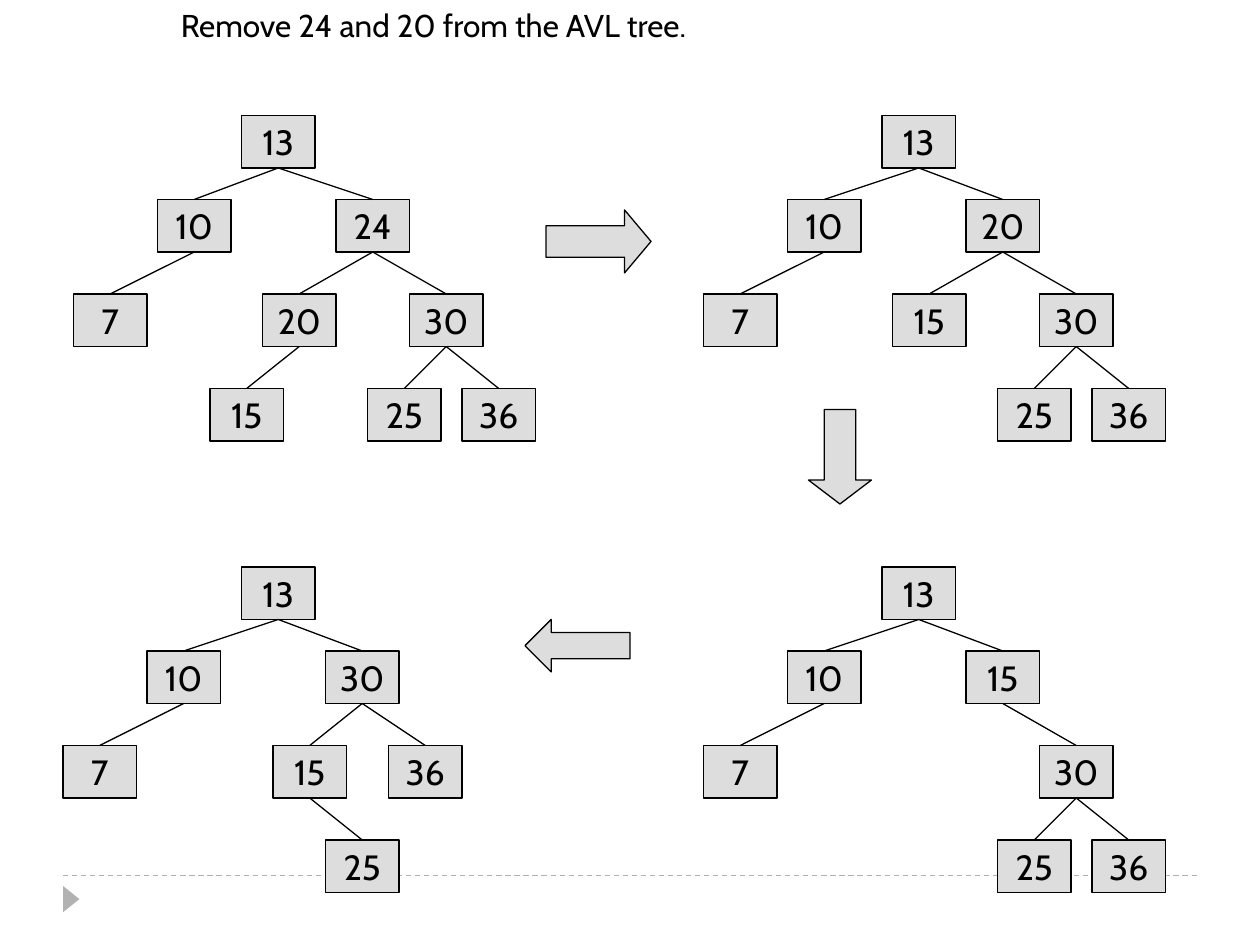
from lxml import etree
from pptx import Presentation
from pptx import util as u
from pptx.dml.color import RGBColor
from pptx.enum import dml, shapes, text
from pptx.oxml.ns import qn

HEADING = "Remove 24 and 20 from the AVL tree."

# Each node: value, level, left grid column, parent value
TREES = [
    {"top": 11, "nodes": [
        (13, 0, 23, None), (10, 1, 15, 13), (24, 1, 32, 13),
        (7, 2, 7, 10), (20, 2, 25, 24), (30, 2, 39, 24),
        (15, 3, 20, 20), (25, 3, 35, 30), (36, 3, 44, 30)]},
    {"top": 11, "nodes": [
        (13, 0, 84, None), (10, 1, 75, 13), (20, 1, 92, 13),
        (7, 2, 67, 10), (15, 2, 85, 20), (30, 2, 99, 20),
        (25, 3, 95, 30), (36, 3, 104, 30)]},
    {"top": 54, "nodes": [
        (13, 0, 84, None), (10, 1, 75, 13), (15, 1, 92, 13),
        (7, 2, 67, 10), (30, 2, 99, 15),
        (25, 3, 95, 30), (36, 3, 104, 30)]},
    {"top": 54, "nodes": [
        (13, 0, 23, None), (10, 1, 14, 13), (30, 1, 31, 13),
        (7, 2, 6, 10), (15, 2, 26, 30), (36, 2, 37, 30),
        (25, 3, 31, 15)]},
]
STEPS = [
    (shapes.MSO_SHAPE.RIGHT_ARROW, (52, 20, 10, 6), 0.42),
    (shapes.MSO_SHAPE.DOWN_ARROW, (77, 39, 6, 9), 0.38),
    (shapes.MSO_SHAPE.LEFT_ARROW, (50, 59, 10, 5), 0.5),
]

THEME = {
    "font": "Cabin", "heading": u.Pt(18), "node": u.Pt(20), "stroke": u.Pt(0.75),
    "ink": RGBColor(0, 0, 0), "fill": RGBColor(0xDD, 0xDD, 0xDD),
    "footer": RGBColor(0xB2, 0xB2, 0xB2),
}
LEVEL_DROPS = (0, 8, 17, 26)
NODE_WIDTH, NODE_HEIGHT = 7, 5


def grid(cells):
    return u.Cm(cells * 2.54 / 12)


def style_font(paragraph, size):
    paragraph.font.name = THEME["font"]
    paragraph.font.size = size
    paragraph.font.color.rgb = THEME["ink"]


def add_block(slide, preset, bounds):
    block = slide.shapes.add_shape(preset, *map(grid, bounds))
    block.shadow.inherit = False
    block.fill.solid()
    block.fill.fore_color.rgb = THEME["fill"]
    block.line.color.rgb = THEME["ink"]
    block.line.width = THEME["stroke"]
    return block


def add_line(slide, color, start=(0, 0), end=(0, 0)):
    line = slide.shapes.add_connector(shapes.MSO_CONNECTOR.STRAIGHT, *start, *end)
    line.line.color.rgb = color
    line.line.width = THEME["stroke"]
    etree.SubElement(line._element.spPr, qn("a:effectLst"))
    return line


def add_heading(slide):
    heading = slide.shapes.title
    heading.left, heading.top = u.Cm(2.12), u.Cm(0)
    heading.width, heading.height = u.Cm(20.75), u.Cm(1.02)
    frame = heading.text_frame
    frame.text = HEADING
    frame.word_wrap = True
    frame.auto_size = text.MSO_AUTO_SIZE.NONE
    frame.vertical_anchor = text.MSO_ANCHOR.MIDDLE
    paragraph = frame.paragraphs[0]
    paragraph.alignment = text.PP_ALIGN.LEFT
    properties = paragraph._p.get_or_add_pPr()
    properties.set("marL", str(u.Cm(1.27)))
    properties.set("indent", "0")
    style_font(paragraph, THEME["heading"])


def add_footer(slide):
    y = u.Cm(17.65)
    rule = add_line(slide, THEME["footer"], (u.Cm(1.27), y), (u.Cm(24.13), y))
    rule.line.dash_style = dml.MSO_LINE.DASH
    marker = slide.shapes.add_shape(
        shapes.MSO_SHAPE.ISOSCELES_TRIANGLE,
        u.Cm(1.17), u.Cm(17.96), u.Cm(0.53), u.Cm(0.33))
    marker.rotation = 90
    marker.shadow.inherit = False
    marker.fill.solid()
    marker.fill.fore_color.rgb = THEME["footer"]
    marker.line.fill.background()


def add_tree(slide, top, nodes):
    boxes = {}
    for value, level, column, parent in nodes:
        box = add_block(slide, shapes.MSO_SHAPE.RECTANGLE,
                        (column, top + LEVEL_DROPS[level], NODE_WIDTH, NODE_HEIGHT))
        frame = box.text_frame
        frame.text = str(value)
        frame.word_wrap = False
        frame.vertical_anchor = text.MSO_ANCHOR.MIDDLE
        frame.paragraphs[0].alignment = text.PP_ALIGN.CENTER
        style_font(frame.paragraphs[0], THEME["node"])
        boxes[value] = box
        if parent is not None:
            branch = add_line(slide, THEME["ink"])
            branch.begin_connect(boxes[parent], 2)
            branch.end_connect(box, 0)


def main():
    deck = Presentation()
    deck.slide_width, deck.slide_height = u.Cm(25.4), u.Cm(19.05)
    slide = deck.slides.add_slide(deck.slide_layouts[5])
    add_footer(slide)
    add_heading(slide)
    for tree in TREES:
        add_tree(slide, tree["top"], tree["nodes"])
    for preset, bounds, head in STEPS:
        arrow = add_block(slide, preset, bounds)
        arrow.adjustments[0] = 0.5
        arrow.adjustments[1] = head
    deck.save("out.pptx")


if __name__ == "__main__":
    main()
